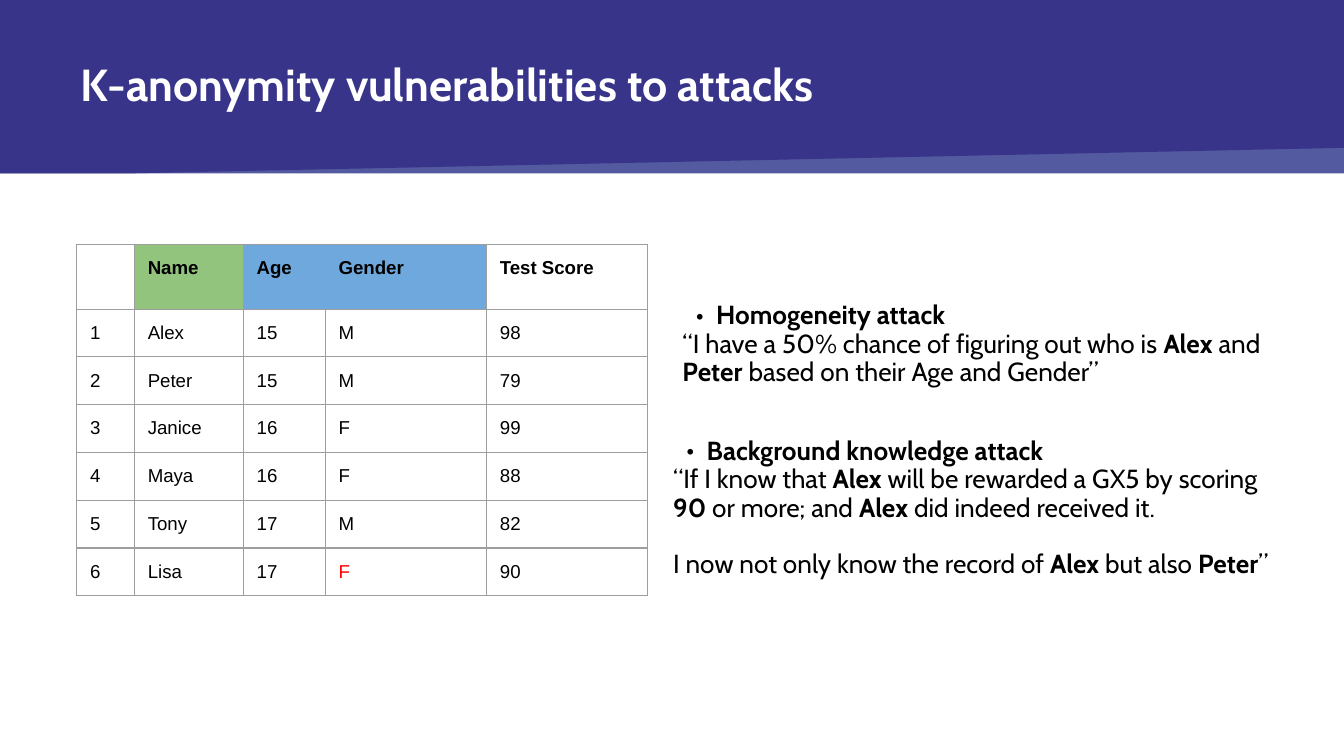
from lxml.etree import SubElement
from pptx import Presentation
from pptx.dml.color import RGBColor
from pptx.enum.shapes import MSO_SHAPE
from pptx.enum.text import MSO_ANCHOR, MSO_AUTO_SIZE, PP_ALIGN
from pptx.oxml.ns import qn
from pptx.util import Inches, Pt

WHITE = RGBColor(0xFF, 0xFF, 0xFF)
BLACK = RGBColor(0x00, 0x00, 0x00)
RED = RGBColor(0xFF, 0x00, 0x00)
BAND = RGBColor(0x53, 0x5A, 0xA0)
INDIGO = RGBColor(0x2F, 0x28, 0x83)
GREEN = RGBColor(0x93, 0xC4, 0x7D)
BLUE = RGBColor(0x6F, 0xA8, 0xDC)
GRID = RGBColor(0x9E, 0x9E, 0x9E)

COLUMN_WIDTHS = (0.43, 0.81, 0.61, 1.2, 1.2)
HEADER_FILLS = {1: GREEN, 2: BLUE, 3: BLUE}
RECORDS = (
    ("", "Name", "Age", "Gender", "Test Score"),
    ("1", "Alex", "15", "M", "98"),
    ("2", "Peter", "15", "M", "79"),
    ("3", "Janice", "16", "F", "99"),
    ("4", "Maya", "16", "F", "88"),
    ("5", "Tony", "17", "M", "82"),
    ("6", "Lisa", "17", "F", "90"),
)
SUSPECT_CELL = (6, 3)

HOMOGENEITY = (
    "Homogeneity attack",
    (
        ("“I have a 50% chance of figuring out who is ", "Alex", " and ", "Peter",
         " based on their Age and Gender”"),
    ),
)
BACKGROUND = (
    "Background knowledge attack",
    (
        ("“If I know that ", "Alex", " will be rewarded a GX5 by scoring ", "90",
         " or more; and ", "Alex", " did indeed received it."),
        ("I now not only know the record of ", "Alex", " but also ", "Peter", "”"),
    ),
)


def style_font(font, name, size, color, bold=False):
    """Set the face, size, colour and weight of a font."""
    font.name = name
    font.size = Pt(size)
    font.color.rgb = color
    font.bold = bold


def set_margins(box, horizontal, vertical):
    """Set the inner margins of a text frame or a cell."""
    box.margin_left = box.margin_right = Inches(horizontal)
    box.margin_top = box.margin_bottom = Inches(vertical)


def paint(shape, color):
    """Give a shape a flat fill without line or shadow."""
    shape.fill.solid()
    shape.fill.fore_color.rgb = color
    shape.line.fill.background()
    shape.shadow.inherit = False


def add_banner(slide):
    """Draw the header band with its slanted translucent overlay."""
    band = slide.shapes.add_shape(MSO_SHAPE.RECTANGLE, 0, 0, Inches(10), Inches(1.29))
    paint(band, BAND)
    corners = ((10, 0), (10, 1.1), (0.96, 1.29), (0, 1.29))
    outline = slide.shapes.build_freeform(0, 0)
    outline.add_line_segments([(Inches(x), Inches(y)) for x, y in corners])
    overlay = outline.convert_to_shape()
    paint(overlay, INDIGO)
    tint = overlay.element.spPr.find(qn("a:solidFill"))[0]
    SubElement(tint, qn("a:alpha"), val="75000")


def add_title(slide, text):
    """Place the title over the banner."""
    title = slide.shapes.title
    title.element.getparent().append(title.element)
    title.left, title.top = Inches(0.5), Inches(0.26)
    title.width, title.height = Inches(8.96), Inches(0.78)
    frame = title.text_frame
    frame.text = text
    frame.vertical_anchor = MSO_ANCHOR.MIDDLE
    frame.word_wrap = True
    set_margins(frame, 0.1, 0.05)
    heading = frame.paragraphs[0]
    heading.alignment = PP_ALIGN.LEFT
    heading.line_spacing = 0.9
    style_font(heading.runs[0].font, "Cabin", 24, WHITE, True)


def add_borders(cell):
    """Draw a thin grey line on every side of a cell."""
    properties = cell._tc.get_or_add_tcPr()
    for side in ("a:lnL", "a:lnR", "a:lnT", "a:lnB"):
        border = SubElement(properties, qn(side), w=str(Pt(0.75)))
        fill = SubElement(border, qn("a:solidFill"))
        SubElement(fill, qn("a:srgbClr"), val=str(GRID))


def format_cell(cell, text, color, bold, fill):
    """Write and style one table cell."""
    set_margins(cell, 0.1, 0.1)
    add_borders(cell)
    if fill:
        cell.fill.solid()
        cell.fill.fore_color.rgb = fill
    else:
        cell.fill.background()
    paragraph = cell.text_frame.paragraphs[0]
    if text:
        paragraph.text = text
        style_font(paragraph.runs[0].font, "Arial", 10, color, bold)
    else:
        SubElement(paragraph._p, qn("a:endParaRPr"), sz="1000")


def add_records(slide):
    """Build the table of pupil records."""
    frame = slide.shapes.add_table(
        len(RECORDS), len(COLUMN_WIDTHS), Inches(0.57), Inches(1.82),
        Inches(sum(COLUMN_WIDTHS)), Inches(2.58))
    table = frame.table
    table.first_row = table.horz_banding = False
    for column, width in zip(table.columns, COLUMN_WIDTHS):
        column.width = Inches(width)
    for row, record in enumerate(RECORDS):
        is_header = row == 0
        table.rows[row].height = Inches(0.48 if is_header else 0.35)
        for column, text in enumerate(record):
            color = RED if (row, column) == SUSPECT_CELL else BLACK
            fill = HEADER_FILLS.get(column) if is_header else None
            format_cell(table.cell(row, column), text, color, is_header, fill)


def add_bullet(paragraph):
    """Give a paragraph a hanging black bullet."""
    properties = paragraph._p.get_or_add_pPr()
    properties.set("marL", str(Inches(0.25)))
    properties.set("indent", str(Inches(-0.15)))
    color = SubElement(properties, qn("a:buClr"))
    SubElement(color, qn("a:srgbClr"), val=str(BLACK))
    SubElement(properties, qn("a:buFont"), typeface="Cabin")
    SubElement(properties, qn("a:buChar"), char="•")


def add_attack(slide, left, top, width, attack):
    """Add a bulleted attack name and its explanation with bold key words."""
    name, explanation = attack
    box = slide.shapes.add_textbox(Inches(left), Inches(top), Inches(width), Inches(1.26))
    frame = box.text_frame
    frame.word_wrap = True
    frame.auto_size = MSO_AUTO_SIZE.SHAPE_TO_FIT_TEXT
    set_margins(frame, 0.1, 0.1)
    heading = frame.paragraphs[0]
    heading.text = name
    heading.line_spacing = 0.9
    add_bullet(heading)
    style_font(heading.runs[0].font, "Cabin", 14, BLACK, True)
    for number, pieces in enumerate(explanation):
        paragraph = frame.add_paragraph()
        paragraph.line_spacing = 0.9
        paragraph.space_before = Pt(15 * number)
        for position, piece in enumerate(pieces):
            run = paragraph.add_run()
            run.text = piece
            style_font(run.font, "Cabin", 14, BLACK, position % 2 == 1)


def main():
    """Build and save the slide."""
    deck = Presentation()
    deck.slide_width = Inches(10)
    deck.slide_height = deck.slide_width * 9 // 16
    slide = deck.slides.add_slide(deck.slide_layouts[5])
    add_banner(slide)
    add_title(slide, "K-anonymity vulnerabilities to attacks")
    add_records(slide)
    add_attack(slide, 4.98, 2.15, 4.8, HOMOGENEITY)
    add_attack(slide, 4.91, 3.16, 4.77, BACKGROUND)
    deck.save("out.pptx")


if __name__ == "__main__":
    main()
